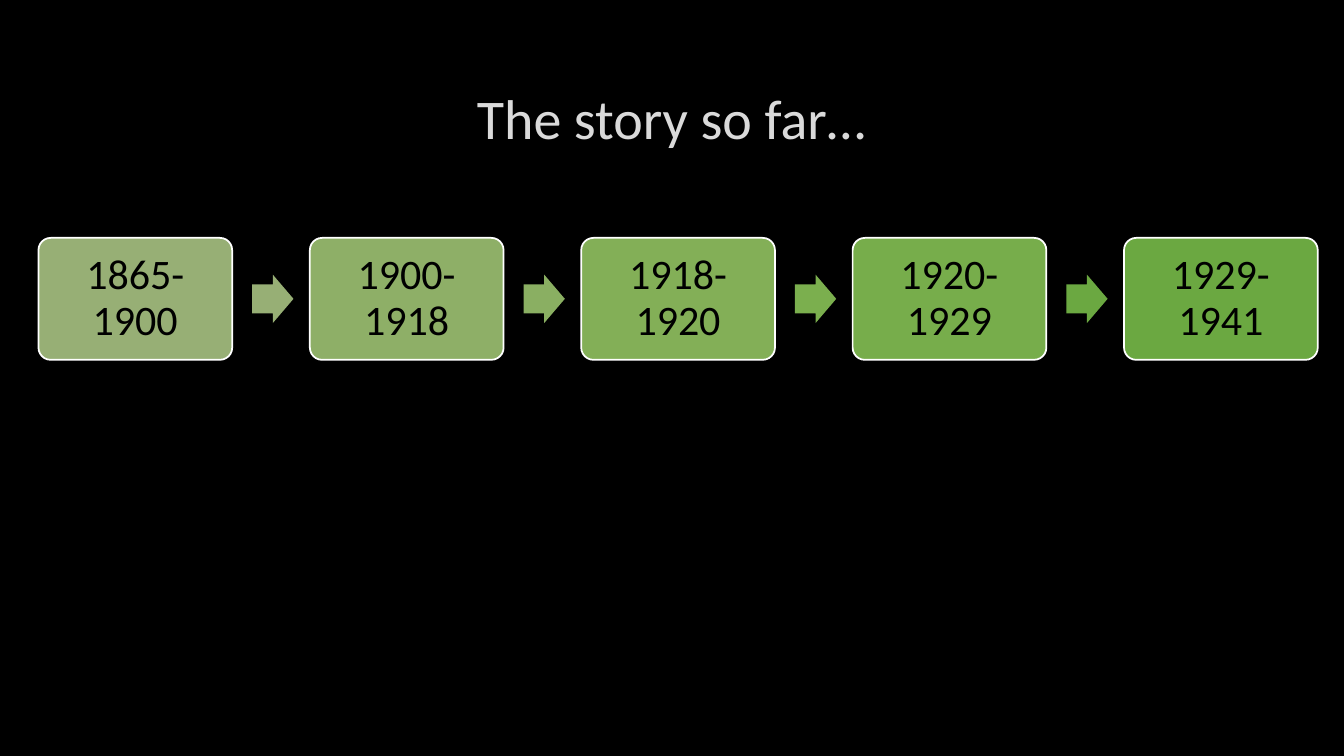
from dataclasses import dataclass

from pptx import Presentation
from pptx.dml.color import RGBColor
from pptx.enum import shapes, text
from pptx.util import Pt

FONT = "Calibri"
LEFT, STEP = 27.5, 193.85
BOX_TOP, BOX_W, BOX_H = 169.9, 138.4, 87.1
GAP, ARROW_W, ARROW_H = 14.2, 29.5, 34.6


@dataclass
class Era:
    years: str
    fill: str
    arrow: str = ""  # fill of the arrow to the next era


ERAS = [
    Era("1865-1900", "97AF75", "97AF75"),
    Era("1900-1918", "8EAF67", "8AAF62"),
    Era("1918-1920", "83AF57", "7BAF4E"),
    Era("1920-1929", "77AD4B", "6BA841"),
    Era("1929-1941", "6BA841"),
]


def paint(target, color: str) -> None:
    """Give a fill one solid colour."""
    target.solid()
    target.fore_color.rgb = RGBColor.from_string(color)


def write(frame, words: str, size: float, color: str) -> None:
    """Set one centred line of text in a frame."""
    frame.word_wrap = True
    frame.vertical_anchor = text.MSO_ANCHOR.MIDDLE
    par = frame.paragraphs[0]
    par.text = words
    par.alignment = text.PP_ALIGN.CENTER
    par.line_spacing = 0.9
    par.font.name = FONT
    par.font.size = Pt(size)
    paint(par.font.fill, color)


def draw_box(slide, era: Era, left: float) -> None:
    box = slide.shapes.add_shape(shapes.MSO_SHAPE.ROUNDED_RECTANGLE,
                                 Pt(left), Pt(BOX_TOP), Pt(BOX_W), Pt(BOX_H))
    box.shadow.inherit = False
    box.adjustments[0] = 0.1
    paint(box.fill, era.fill)
    paint(box.line.fill, "FFFFFF")
    box.line.width = Pt(1.25)
    frame = box.text_frame
    frame.margin_left = frame.margin_right = Pt(8.6)
    frame.margin_top = frame.margin_bottom = Pt(8.6)
    write(frame, era.years, 30, "000000")


def draw_arrow(slide, color: str, left: float) -> None:
    top = BOX_TOP + (BOX_H - ARROW_H) / 2
    arrow = slide.shapes.add_shape(shapes.MSO_SHAPE.RIGHT_ARROW,
                                   Pt(left), Pt(top), Pt(ARROW_W), Pt(ARROW_H))
    arrow.shadow.inherit = False
    arrow.adjustments[0] = 0.6
    arrow.adjustments[1] = 0.5
    paint(arrow.fill, color)
    arrow.line.fill.background()


def main() -> None:
    deck = Presentation()
    deck.slide_width, deck.slide_height = Pt(960), Pt(540)
    slide = deck.slides.add_slide(deck.slide_layouts[5])
    paint(slide.background.fill, "000000")

    # Title
    title = slide.shapes.title
    title.left, title.top = Pt(72), Pt(48.2)
    title.width, title.height = Pt(815), Pt(76.3)
    write(title.text_frame, "The story so far…", 40, "DADADA")

    # Timeline
    for i, era in enumerate(ERAS):
        left = LEFT + i * STEP
        draw_box(slide, era, left)
        if era.arrow:
            draw_arrow(slide, era.arrow, left + BOX_W + GAP)

    deck.save("out.pptx")


if __name__ == "__main__":
    main()
